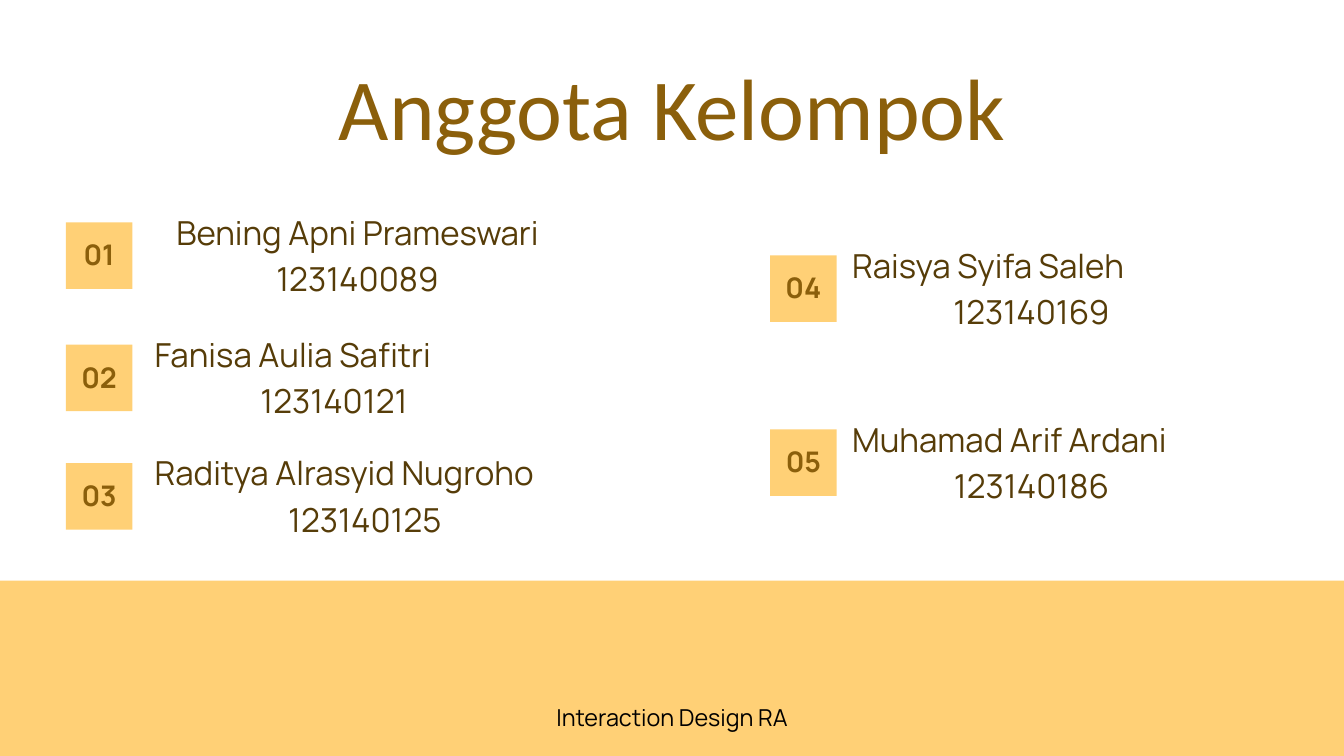
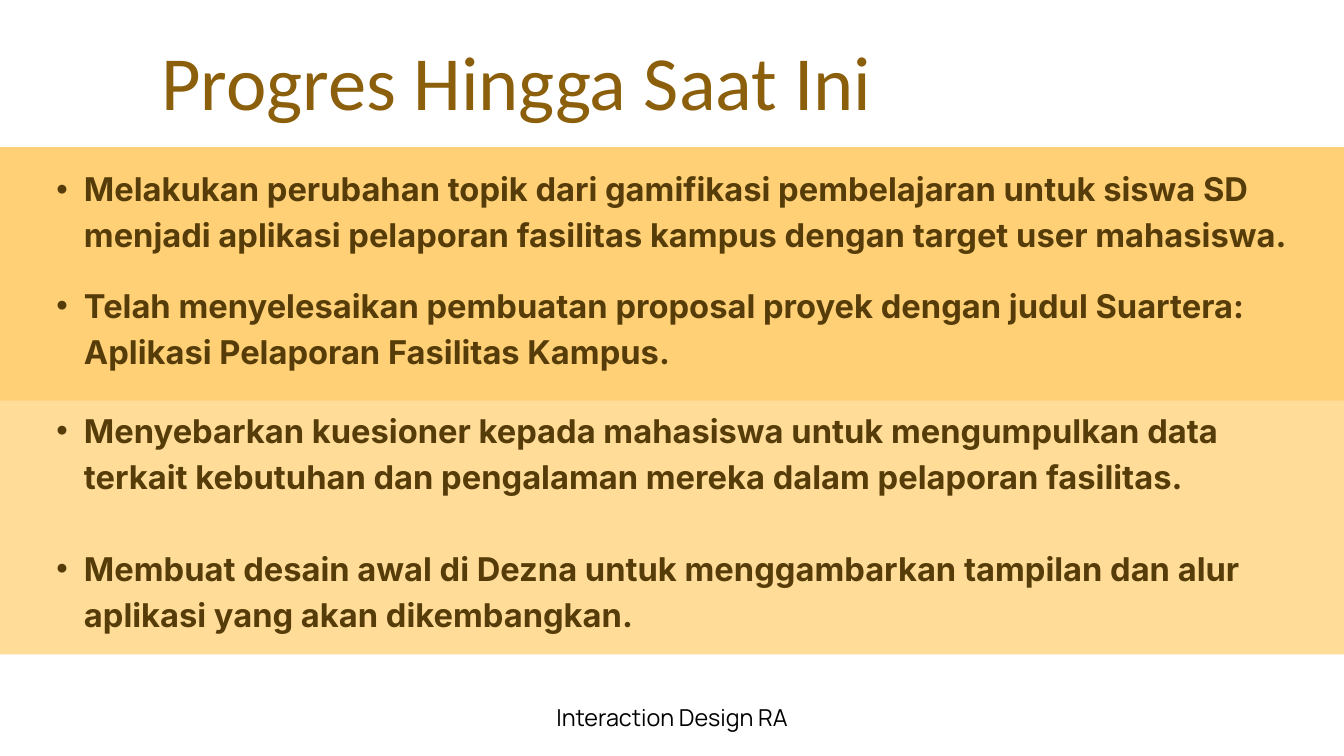
from lxml import etree
from pptx import Presentation
from pptx import util as u
from pptx.dml import color
from pptx.enum import shapes, text
from pptx.oxml import ns

GOLD, PALE_GOLD = "FFD076", "FFDC98"
BROWN, DARK_BROWN, BLACK = "8B5F0B", "563C08", "000000"
TITLE_FONT, BODY_FONT, POINT_FONT = "Calibri", "Manrope", "Inter"
LEFT, CENTER = text.PP_ALIGN.LEFT, text.PP_ALIGN.CENTER
COLUMNS, ROWS = 20, 11.25
LINE_RATIO = 1.4
TILE = 0.99

deck = Presentation()
deck.slide_width, deck.slide_height = u.Inches(20), u.Inches(11.25)
cell = deck.slide_width // COLUMNS


def add_block(page, left, top, width, height, fill):
    """Draw a plain filled rectangle, measured in grid cells."""
    block = page.shapes.add_shape(
        shapes.MSO_SHAPE.RECTANGLE, *(round(n * cell) for n in (left, top, width, height)))
    block.shadow.inherit = False
    block.fill.solid()
    block.fill.fore_color.rgb = color.RGBColor.from_string(fill)
    block.line.fill.background()


def add_text(page, left, top, width, height, lines, size, font, ink, bold=False, inset=0):
    """Add a text box, measured in grid cells; lines are (wording, alignment) pairs."""
    box = page.shapes.add_textbox(*(round(n * cell) for n in (left, top, width, height)))
    frame = box.text_frame
    frame.word_wrap = True
    frame.margin_left = frame.margin_right = u.Inches(inset)
    frame.margin_top = frame.margin_bottom = u.Inches(inset)
    for index, (wording, alignment) in enumerate(lines):
        para = frame.add_paragraph() if index else frame.paragraphs[0]
        para.alignment = alignment
        para.line_spacing = u.Pt(round(size * LINE_RATIO, 1))
        span = para.add_run()
        span.text = wording
        span.font.size, span.font.name, span.font.bold = u.Pt(size), font, bold
        span.font.color.rgb = color.RGBColor.from_string(ink)
    return frame


# Both pages: bands at the back, then title and footer
bands = [
    [(8.64, 2.61, GOLD)],
    [(2.19, 3.78, GOLD), (5.96, 3.78, PALE_GOLD)],
]
titles = [
    ("Anggota Kelompok", 93.2, (1.98, 0.54, 16.05, 1.75)),
    ("Progres Hingga Saat Ini", 82, (0.86, 0.28, 13.65, 1.53)),
]
pages = []
for page_bands, (title, size, place) in zip(bands, titles):
    page = deck.slides.add_slide(deck.slide_layouts[6])
    for top, height, fill in page_bands:
        add_block(page, 0, top, COLUMNS, height, fill)
    add_text(page, *place, [(title, CENTER)], size, TITLE_FONT, BROWN)
    add_text(page, 6.85, ROWS - 0.85, 6.3, 0.48, [("Interaction Design RA", CENTER)],
             25, BODY_FONT, BLACK)
    pages.append(page)
members_page, progress_page = pages

# Group members: numbered tile, name and student number
LEFT_COLUMN, RIGHT_COLUMN = (0.98, 2.3), (11.46, 12.68)
members = [
    (LEFT_COLUMN, 3.31, 6.04, "Bening Apni Prameswari", CENTER, "123140089"),
    (LEFT_COLUMN, 5.13, 5.34, "Fanisa Aulia Safitri", LEFT, "123140121"),
    (LEFT_COLUMN, 6.89, 6.26, "Raditya Alrasyid Nugroho", LEFT, "123140125"),
    (RIGHT_COLUMN, 3.8, 5.34, "Raisya Syifa Saleh", LEFT, "123140169"),
    (RIGHT_COLUMN, 6.39, 5.34, "Muhamad Arif Ardani", LEFT, "123140186"),
]
for number, member in enumerate(members, start=1):
    (tile_left, name_left), top, width, name, alignment, student_id = member
    add_block(members_page, tile_left, top, TILE, TILE, GOLD)
    label = add_text(members_page, tile_left, top - 0.12, TILE, TILE + 0.12,
                     [(f"{number:02}", CENTER)], 30.4, BODY_FONT, BROWN, bold=True, inset=0.06)
    label.vertical_anchor = text.MSO_ANCHOR.MIDDLE
    add_text(members_page, name_left, top - 0.25, width, 1.38,
             [(name, alignment), (student_id, CENTER)], 35.4, BODY_FONT, DARK_BROWN)

# Progress so far: one bulleted point per box
points = [
    (2.42, "Melakukan perubahan topik dari gamifikasi pembelajaran untuk siswa SD menjadi "
           "aplikasi pelaporan fasilitas kampus dengan target user mahasiswa."),
    (4.16, "Telah menyelesaikan pembuatan proposal proyek dengan judul Suartera: "
           "Aplikasi Pelaporan Fasilitas Kampus."),
    (6.02, "Menyebarkan kuesioner kepada mahasiswa untuk mengumpulkan data terkait "
           "kebutuhan dan pengalaman mereka dalam pelaporan fasilitas."),
    (8.07, "Membuat desain awal di Dezna untuk menggambarkan tampilan dan alur aplikasi "
           "yang akan dikembangkan."),
]
for top, wording in points:
    frame = add_text(progress_page, 0.42, top, 19.16, 1.33, [(wording, LEFT)],
                     35, POINT_FONT, DARK_BROWN, bold=True)
    para = frame.paragraphs[0]
    para.level = 1
    settings = para._p.get_or_add_pPr()
    settings.set("marL", str(u.Inches(0.83)))
    settings.set("indent", str(u.Inches(-0.41)))
    etree.SubElement(settings, ns.qn("a:buFont"), typeface="Arial")
    etree.SubElement(settings, ns.qn("a:buChar"), char="•")

deck.save("out.pptx")
